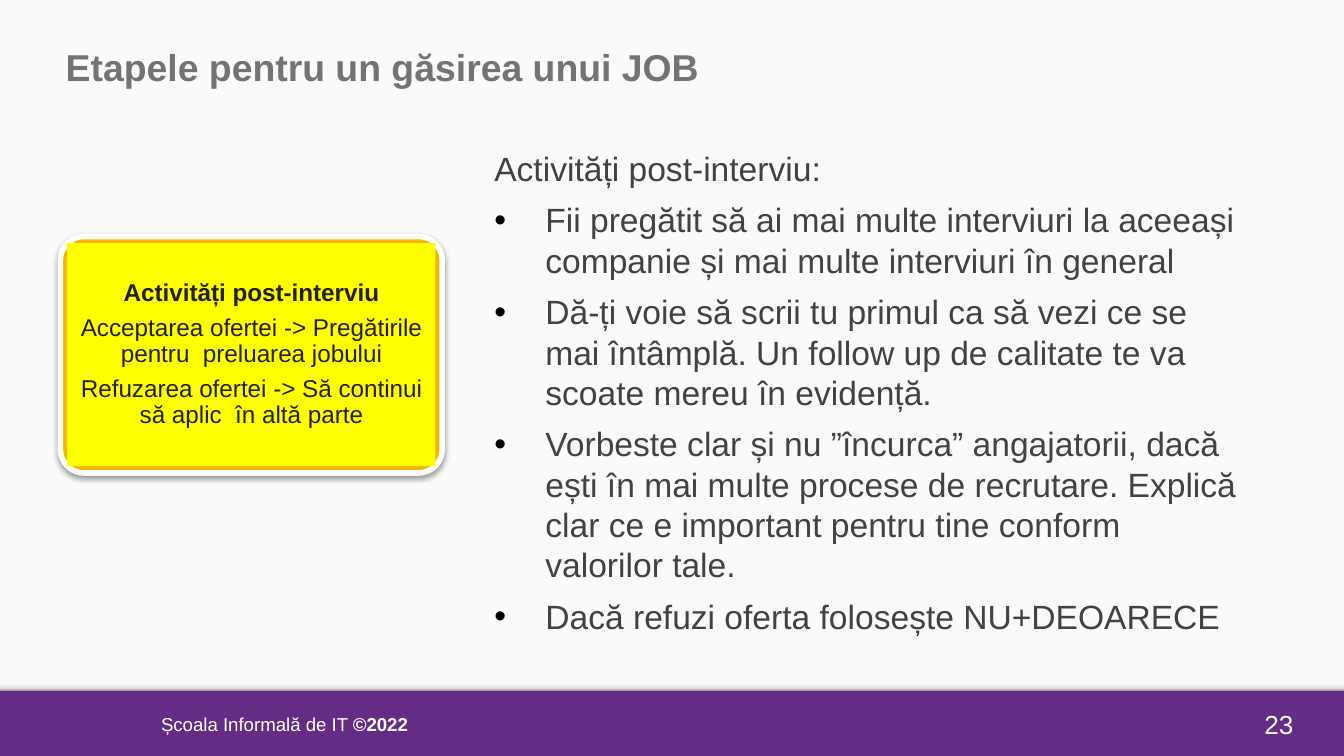
"""Build the slide on steps after a job interview."""
from dataclasses import dataclass

from lxml.etree import SubElement
from pptx import Presentation
from pptx.dml.color import RGBColor
from pptx.enum.shapes import MSO_SHAPE
from pptx.enum.text import MSO_ANCHOR, PP_ALIGN
from pptx.oxml import parse_xml
from pptx.oxml.ns import nsdecls, qn
from pptx.shapes.autoshape import Shape
from pptx.slide import Slide
from pptx.util import Inches, Pt

PURPLE = RGBColor(0x64, 0x2C, 0x84)
PAPER = RGBColor(0xFA, 0xFA, 0xFA)
WHITE = RGBColor(0xFF, 0xFF, 0xFF)
GREY = RGBColor(0x73, 0x73, 0x73)
DARK = RGBColor(0x42, 0x42, 0x42)
INK = RGBColor(0x21, 0x21, 0x21)
AMBER = RGBColor(0xF4, 0xB4, 0x00)
YELLOW = RGBColor(0xFF, 0xFF, 0x00)
BLACK = RGBColor(0x00, 0x00, 0x00)
FADE = ((0, "F9F9F9"), (36, "F9F9F9"), (80, "DEDEDE"), (100, "999999"))


@dataclass(frozen=True)
class Box:
    left: float
    top: float
    width: float
    height: float


@dataclass(frozen=True)
class Line:
    runs: tuple[tuple[str, bool], ...]
    bullet: bool = False


@dataclass(frozen=True)
class Style:
    size: float
    color: RGBColor
    inset: float = 0.1
    anchor: MSO_ANCHOR = MSO_ANCHOR.TOP
    align: PP_ALIGN = PP_ALIGN.LEFT
    gap: float = 0
    pitch: float = 1.0


def plain(text: str, bold: bool = False, bullet: bool = False) -> Line:
    """Make a line of one run."""
    return Line(((text, bold),), bullet)


def spots(box: Box) -> tuple[Inches, ...]:
    """Turn a box into lengths."""
    return tuple(Inches(n) for n in (box.left, box.top, box.width, box.height))


def add_block(slide: Slide, kind: MSO_SHAPE, box: Box, color: RGBColor) -> Shape:
    """Draw a filled shape without line or shadow."""
    shape = slide.shapes.add_shape(kind, *spots(box))
    shape.shadow.inherit = False
    shape.fill.solid()
    shape.fill.fore_color.rgb = color
    shape.line.fill.background()
    return shape


def add_fade(shape: Shape) -> None:
    """Fill a shape with the fade, from top to bottom."""
    shape.fill.gradient()
    shape.fill.gradient_angle = 270
    stops = shape.element.spPr.find(qn("a:gradFill")).find(qn("a:gsLst"))
    for stop in list(stops):
        stops.remove(stop)
    for place, color in FADE:
        stops.append(parse_xml(
            f'<a:gs {nsdecls("a")} pos="{place * 1000}"><a:srgbClr val="{color}"/></a:gs>'))


def add_shade(shape: Shape) -> None:
    """Cast a soft shadow below a shape."""
    shape.element.spPr.find(qn("a:effectLst")).append(parse_xml(
        f'<a:outerShdw {nsdecls("a")} blurRad="{Pt(3.1)}" dist="{Pt(1.6)}" '
        'dir="5400000" algn="ctr" rotWithShape="0"><a:srgbClr val="000000">'
        '<a:alpha val="38000"/></a:srgbClr></a:outerShdw>'))


def write(shape: Shape, lines: list[Line], style: Style) -> None:
    """Write styled lines into a shape."""
    frame = shape.text_frame
    frame.word_wrap = True
    frame.vertical_anchor = style.anchor
    frame.margin_left = frame.margin_right = Inches(style.inset)
    frame.margin_top = frame.margin_bottom = Inches(style.inset)
    for rank, line in enumerate(lines):
        para = frame.add_paragraph() if rank else frame.paragraphs[0]
        para.alignment = style.align
        para.line_spacing = style.pitch
        para.space_before = Pt(style.gap if rank else 0)
        if line.bullet:
            props = para._p.get_or_add_pPr()
            props.set("marL", str(Inches(0.38)))
            props.set("indent", str(-Inches(0.38)))
            tint = SubElement(props, qn("a:buClr"))
            SubElement(tint, qn("a:srgbClr"), val=str(BLACK))
            SubElement(props, qn("a:buFont"), typeface="Arial")
            SubElement(props, qn("a:buChar"), char="•")
        for text, bold in line.runs:
            run = para.add_run()
            run.text = text
            run.font.name = "Arial"
            run.font.size = Pt(style.size)
            run.font.bold = bold
            run.font.color.rgb = style.color


def add_text(slide: Slide, box: Box, lines: list[Line], style: Style) -> None:
    """Add a text box."""
    write(slide.shapes.add_textbox(*spots(box)), lines, style)


def add_card(slide: Slide) -> None:
    """Draw the framed card on the left."""
    frame = add_block(slide, MSO_SHAPE.ROUNDED_RECTANGLE, Box(0.45, 1.76, 2.84, 1.76), AMBER)
    frame.adjustments[0] = 0.1
    frame.line.color.rgb = WHITE
    frame.line.width = Pt(3)
    add_shade(frame)
    card = add_block(slide, MSO_SHAPE.RECTANGLE, Box(0.5, 1.81, 2.74, 1.66), YELLOW)
    write(card, [
        plain("Activități post-interviu", bold=True),
        plain("Acceptarea ofertei -> Pregătirile pentru  preluarea jobului"),
        plain("Refuzarea ofertei -> Să continui să aplic  în altă parte"),
    ], Style(13, INK, 0.05, MSO_ANCHOR.MIDDLE, PP_ALIGN.CENTER, 4.5, 0.9))


def main() -> None:
    """Build and save the deck."""
    deck = Presentation()
    deck.slide_width = Inches(10)
    deck.slide_height = Inches(10 * 9 / 16)
    slide = deck.slides.add_slide(deck.slide_layouts[6])
    slide.background.fill.solid()
    slide.background.fill.fore_color.rgb = PURPLE
    add_block(slide, MSO_SHAPE.RECTANGLE, Box(0, 0, 10, 5.14), PAPER)
    add_fade(add_block(slide, MSO_SHAPE.RECTANGLE, Box(0, 5.06, 10, 0.08), PAPER))
    add_text(slide, Box(1.1, 5.14, 8.13, 0.49),
             [Line((("Școala Informală de IT ", False), ("©2022", True)))],
             Style(10, WHITE, anchor=MSO_ANCHOR.MIDDLE))
    add_text(slide, Box(9.31, 5.17, 0.6, 0.43), [plain("23")],
             Style(14, WHITE, anchor=MSO_ANCHOR.MIDDLE))
    add_text(slide, Box(0.39, 0.23, 6.38, 0.65),
             [plain("Etapele pentru un găsirea unui JOB", bold=True)], Style(20, GREY))
    add_card(slide)
    tips = (
        "Fii pregătit să ai mai multe interviuri la aceeași companie și mai multe "
        "interviuri în general",
        "Dă-ți voie să scrii tu primul ca să vezi ce se mai întâmplă. Un follow up de "
        "calitate te va scoate mereu în evidență.",
        "Vorbeste clar și nu ”încurca” angajatorii, dacă ești în mai multe procese de "
        "recrutare. Explică clar ce e important pentru tine conform valorilor tale.",
        "Dacă refuzi oferta folosește NU+DEOARECE",
    )
    add_text(slide, Box(3.58, 1, 5.77, 3.69),
             [plain("Activități post-interviu:"), *(plain(tip, bullet=True) for tip in tips)],
             Style(18, DARK, gap=6))
    deck.save("out.pptx")


if __name__ == "__main__":
    main()
